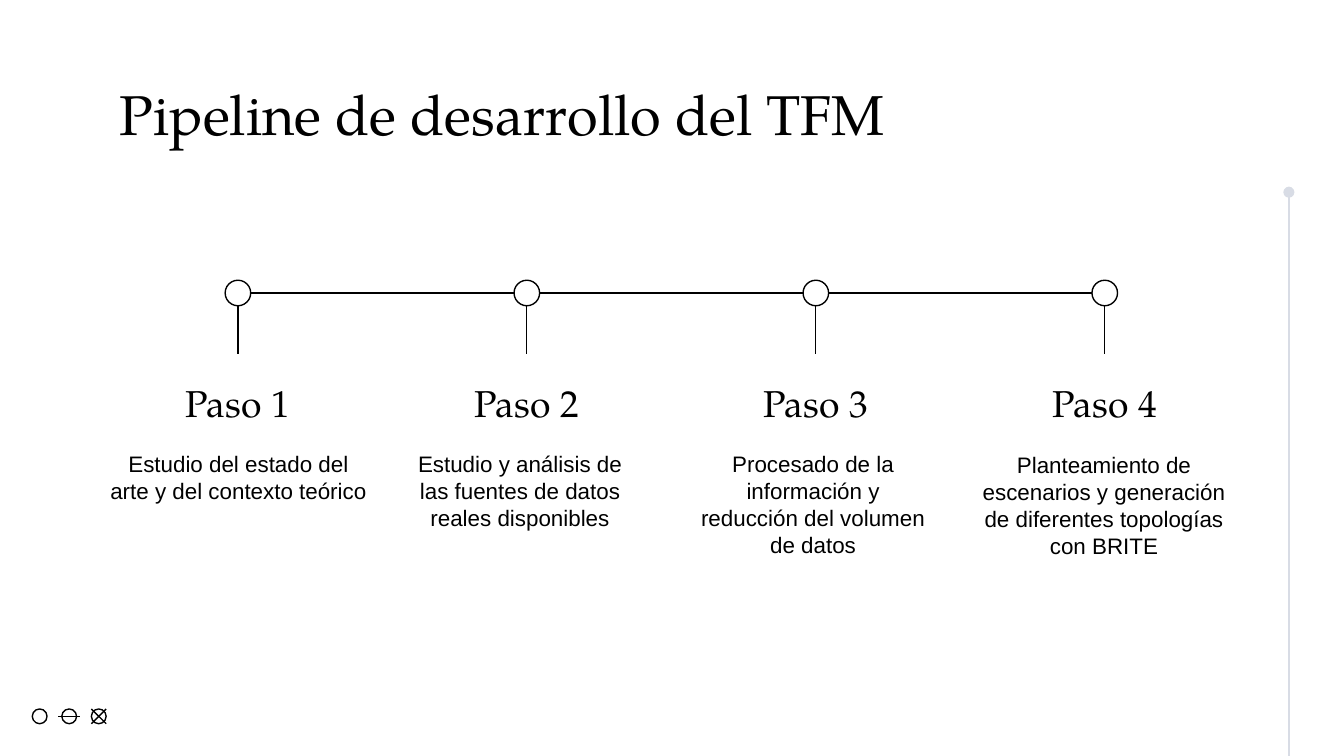
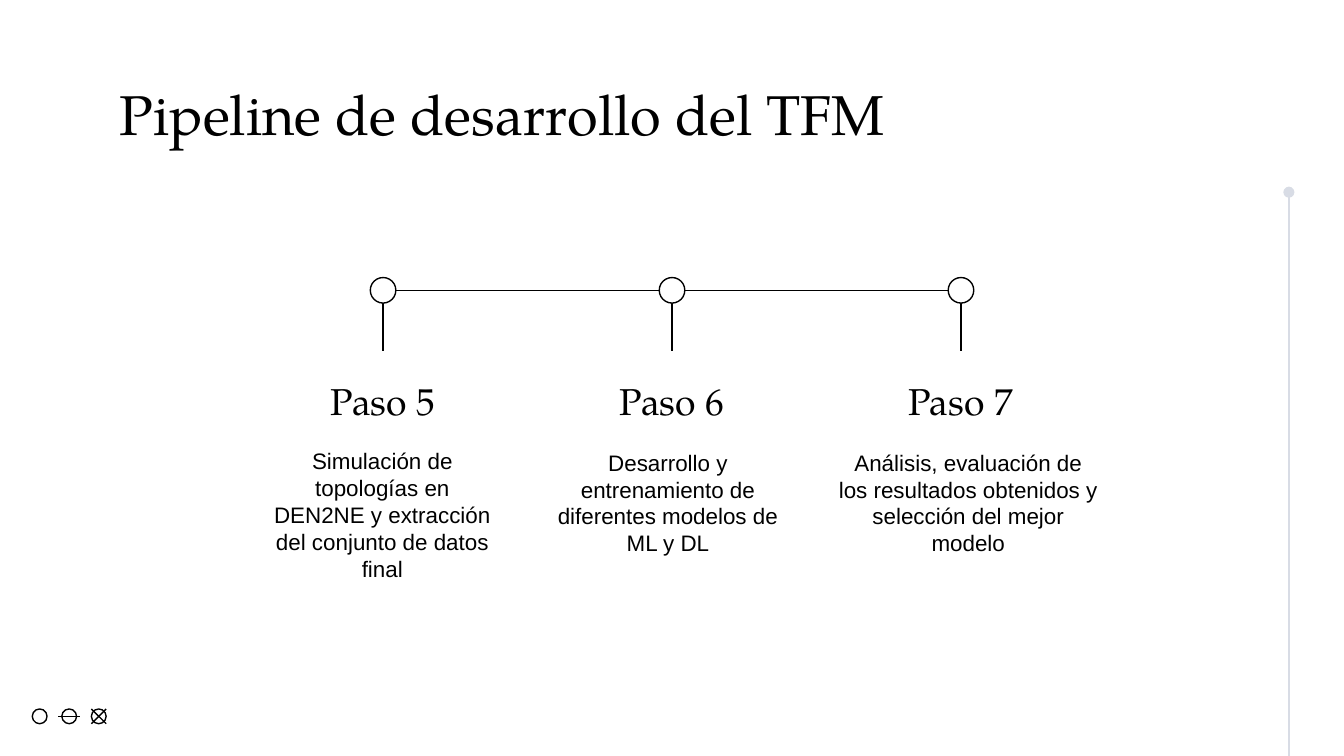
from dataclasses import dataclass

from lxml.etree import SubElement
from pptx import Presentation
from pptx.dml.color import RGBColor as RGB
from pptx.enum.shapes import MSO_CONNECTOR as LINK, MSO_SHAPE as SHAPE
from pptx.enum.text import MSO_ANCHOR as ANCHOR, MSO_AUTO_SIZE as FIT, PP_ALIGN as ALIGN
from pptx.oxml.ns import qn
from pptx.util import Inches as In, Pt


@dataclass(frozen=True)
class Theme:
    ink: RGB = RGB(0, 0, 0)
    paper: RGB = RGB(255, 255, 255)
    rail: RGB = RGB(0xD8, 0xDC, 0xE5)
    serif: str = "TeX Gyre Pagella"
    sans: str = "Arial"
    title: int = 30
    label: int = 20
    body: int = 12
    stroke: float = 0.75


theme = Theme()
wide = 10
high = wide * 9 / 16
pitch = 2.15        # distance between steps
node = 0.19         # diameter of a step's circle
stem = 0.36
head = "Pipeline de desarrollo del TFM"

# Per slide: centre of the first step, height of the timeline,
# then the left, top, width and text of each step's description.
pages = [
    (1.77, 2.18, [
        (0.7, 3.25, 2.15, "Estudio del estado del arte y del contexto teórico"),
        (2.93, 3.25, 1.88, "Estudio y análisis de las fuentes de datos reales disponibles"),
        (5.11, 3.25, 1.88, "Procesado de la información y reducción del volumen de datos"),
        (7.11, 3.26, 2.21, "Planteamiento de escenarios y generación de diferentes "
                           "topologías con BRITE"),
    ]),
    (2.85, 2.16, [
        (1.9, 3.23, 1.89, "Simulación de topologías en DEN2NE y extracción del conjunto "
                          "de datos final"),
        (3.93, 3.24, 2.08, "Desarrollo y entrenamiento de diferentes modelos de ML y DL"),
        (6.14, 3.24, 2.13, "Análisis, evaluación de los resultados obtenidos y selección "
                           "del mejor modelo"),
    ]),
]


def draw(slide, x1, y1, x2, y2, color=theme.ink):
    """Add a thin straight line without a shadow."""
    line = slide.shapes.add_connector(LINK.STRAIGHT, In(x1), In(y1), In(x2), In(y2))
    line.line.color.rgb = color
    line.line.width = Pt(theme.stroke)
    SubElement(line._element.spPr, qn("a:effectLst"))
    return line


def ring(slide, x, y, size, fill=None):
    """Add an outlined circle centred on x, y."""
    disc = slide.shapes.add_shape(
        SHAPE.OVAL, In(x - size / 2), In(y - size / 2), In(size), In(size))
    disc.shadow.inherit = False
    disc.line.color.rgb = theme.ink
    disc.line.width = Pt(theme.stroke)
    if fill is None:
        disc.fill.background()
    else:
        disc.fill.solid()
        disc.fill.fore_color.rgb = fill


deck = Presentation()
deck.slide_width, deck.slide_height = In(wide), In(high)
count = 0

for start, axis, steps in pages:
    slide = deck.slides.add_slide(deck.slide_layouts[5])
    slide.background.fill.solid()
    slide.background.fill.fore_color.rgb = theme.paper

    # Corner marks: a ring, a struck ring and a crossed ring
    base, size = 5.33, 0.11
    half = size / 2
    marks = [0.24 + half + 0.22 * i for i in range(3)]
    draw(slide, marks[1] - 0.08, base, marks[1] + 0.08, base)
    for side in (-half, half):
        draw(slide, marks[2] + side, base + half, marks[2] - side, base - half)
    for x in marks:
        ring(slide, x, base, size)

    # Rail at the right edge
    rail = draw(slide, 9.59, 1.43, 9.59, high, theme.rail)
    SubElement(rail._element.spPr.find(qn("a:ln")), qn("a:headEnd"), type="oval")

    title = slide.shapes.title
    title.left, title.top, title.width, title.height = In(0.79), In(0.49), In(8.43), In(0.63)
    texts = [(title, head, theme.serif, theme.title, ALIGN.LEFT, ANCHOR.TOP)]

    for i, (left, top, width, words) in enumerate(steps):
        count += 1
        x = start + i * pitch
        foot = axis + node / 2 + stem
        label = slide.shapes.add_textbox(In(x - 0.99), In(foot), In(1.98), In(0.63))
        body = slide.shapes.add_textbox(In(left), In(top), In(width), In(1.26))
        texts += [
            (label, f"Paso {count}", theme.serif, theme.label, ALIGN.CENTER, ANCHOR.BOTTOM),
            (body, words, theme.sans, theme.body, ALIGN.CENTER, ANCHOR.TOP),
        ]
        if i:
            draw(slide, x - pitch + node / 2, axis, x - node / 2, axis)
        draw(slide, x, axis + node / 2, x, foot).end_connect(label, 0)
        ring(slide, x, axis, node, theme.paper)

    for box, words, face, size, align, anchor in texts:
        frame = box.text_frame
        frame.word_wrap, frame.auto_size = True, FIT.NONE
        frame.vertical_anchor = anchor
        frame.margin_left = frame.margin_right = In(0.1)
        frame.margin_top = frame.margin_bottom = In(0.1)
        para = frame.paragraphs[0]
        para.alignment = align
        run = para.add_run()
        run.text = words
        run.font.name, run.font.size = face, Pt(size)
        run.font.color.rgb = theme.ink

deck.save("out.pptx")
